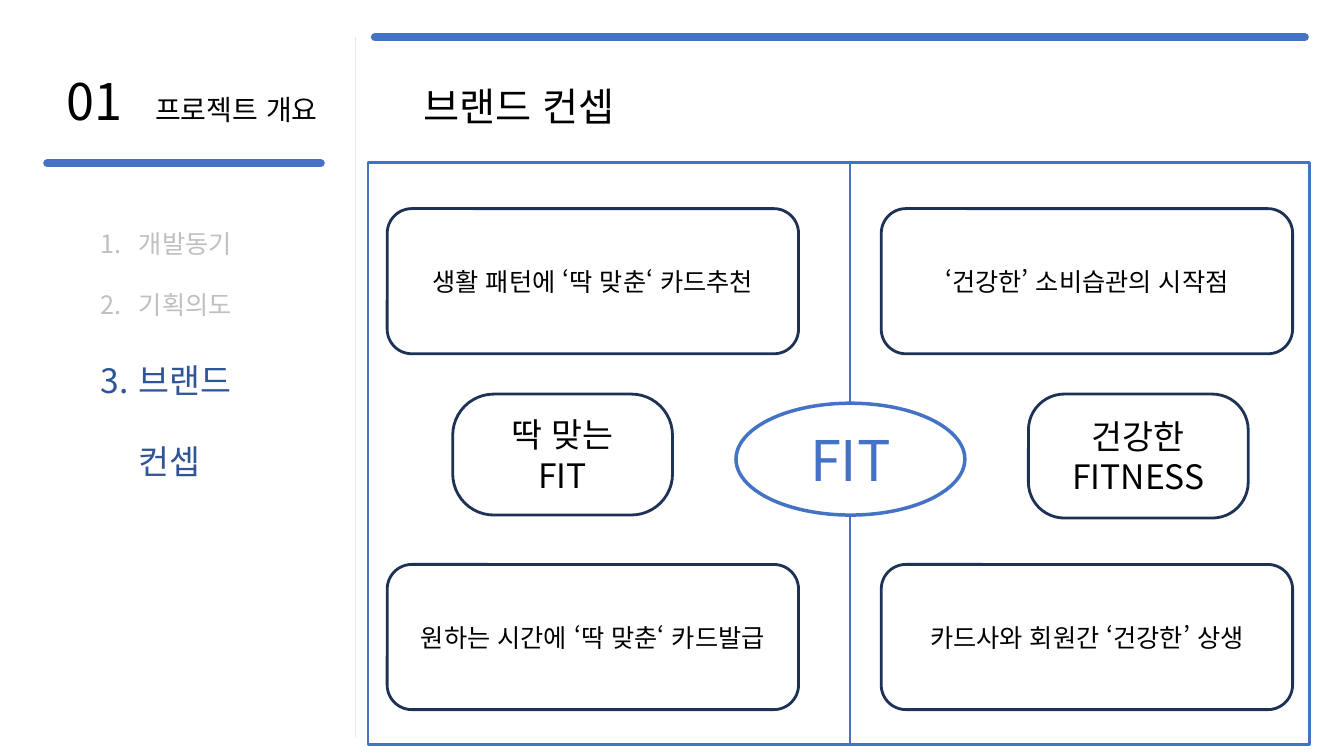
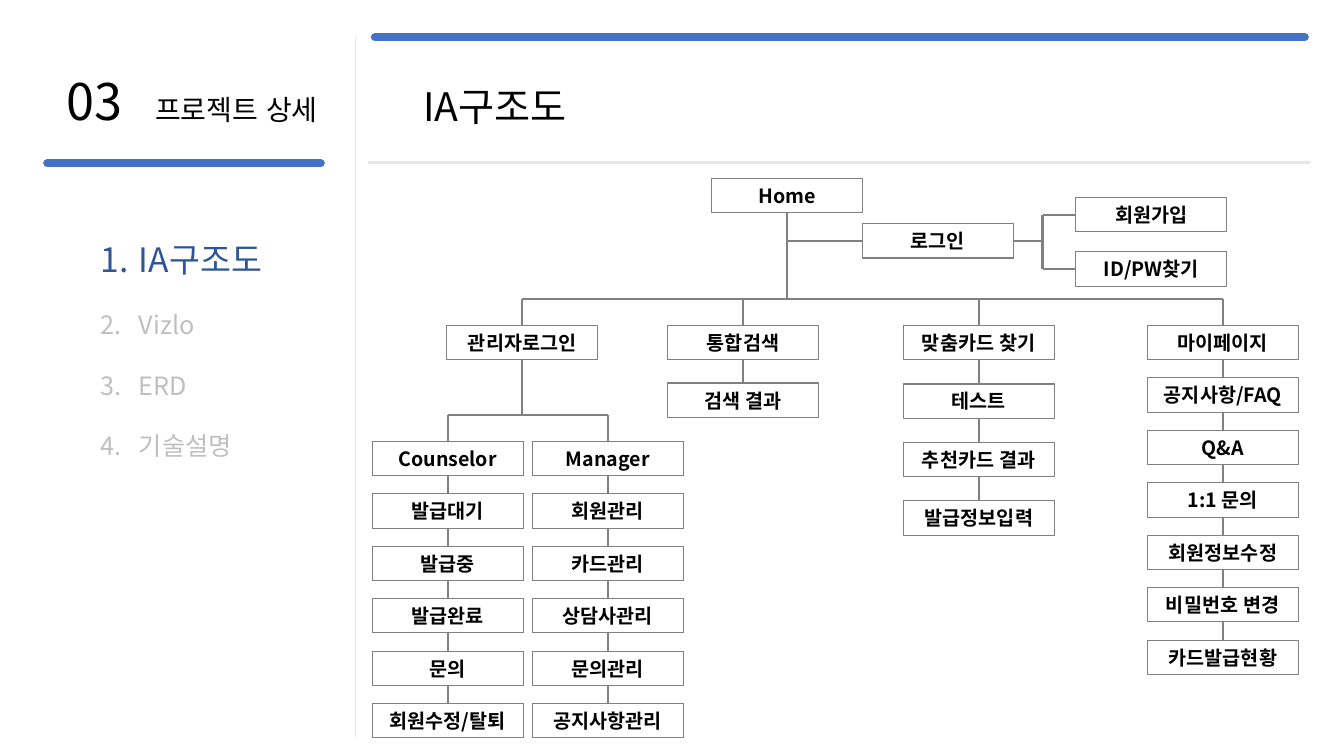
from dataclasses import dataclass

from lxml import etree
from pptx import Presentation
from pptx.dml.color import RGBColor
from pptx.enum.lang import MSO_LANGUAGE_ID
from pptx.enum.shapes import MSO_CONNECTOR, MSO_SHAPE
from pptx.enum.text import MSO_ANCHOR, PP_ALIGN
from pptx.oxml.ns import qn
from pptx.util import Inches, Pt

STRAIGHT = MSO_CONNECTOR.STRAIGHT
RECTANGLE, ROUNDED, OVAL = MSO_SHAPE.RECTANGLE, MSO_SHAPE.ROUNDED_RECTANGLE, MSO_SHAPE.OVAL
LEFT, CENTER = PP_ALIGN.LEFT, PP_ALIGN.CENTER
TOP, MIDDLE = MSO_ANCHOR.TOP, MSO_ANCHOR.MIDDLE
KOREAN = MSO_LANGUAGE_ID.KOREAN
TITLE_ONLY = 5
NODE_WIDTH, NODE_HEIGHT = 1.5, 0.34


@dataclass(frozen=True)
class Theme:
    font: str = "Noto Sans CJK KR"
    text: str = "000000"
    paper: str = "FFFFFF"
    accent: str = "4472C4"
    active: str = "2F5597"
    muted: str = "BFBFBF"
    rule: str = "E7E6E6"
    outline: str = "1E3256"
    tree: str = "808080"
    number_size: int = 36
    section_size: int = 20
    title_size: int = 28
    active_size: int = 24
    body_size: int = 18
    badge_size: int = 40
    node_size: int = 14


THEME = Theme()


def write_text(box, text, *, size, color=THEME.text, bold=False, align=LEFT, anchor=MIDDLE,
               spacing=1.2, numbered=False, tab=None, wrap=True, margin=0.1, append=False):
    """Write one paragraph; text is a string or a list of (text, size) spans."""
    frame = box.text_frame
    frame.word_wrap = wrap
    frame.vertical_anchor = anchor
    frame.margin_left = frame.margin_right = Inches(margin)
    frame.margin_top = frame.margin_bottom = Inches(margin / 2)
    para = frame.add_paragraph() if append else frame.paragraphs[0]
    para.alignment = align
    para.space_before = Pt(0)
    para.line_spacing = Pt(round(size * spacing, 1))
    properties = para._p.get_or_add_pPr()
    if numbered:
        properties.set("marL", str(Inches(0.38)))
        properties.set("indent", str(-Inches(0.38)))
        etree.SubElement(properties, qn("a:buAutoNum"), type="arabicPeriod")
    if tab:
        stops = etree.SubElement(properties, qn("a:tabLst"))
        etree.SubElement(stops, qn("a:tab"), pos=str(Inches(tab)), algn="l")
    for words, span_size in [(text, size)] if isinstance(text, str) else text:
        span = para.add_run()
        span.text = words
        span.font.name = THEME.font
        span.font.size = Pt(span_size)
        span.font.bold = bold
        span.font.language_id = KOREAN
        span.font.color.rgb = RGBColor.from_string(color)
        etree.SubElement(span._r.get_or_add_rPr(), qn("a:ea"), typeface=THEME.font)


class Deck:
    def __init__(self, theme):
        self.theme = theme
        self.file = Presentation()
        self.file.slide_width, self.file.slide_height = Inches(13.33), Inches(7.5)
        self.page = None

    def start_page(self, number, section, title, menu, active):
        """Add a page with its rules, section heading, menu and title."""
        theme = self.theme
        self.page = self.file.slides.add_slide(self.file.slide_layouts[TITLE_ONLY])
        # Rules
        self.line(0.47, 1.62, 3.18, 1.62, theme.accent, 6, rounded=True)
        self.line(3.72, 0.37, 12.94, 0.37, theme.accent, 6, rounded=True)
        self.line(3.52, 0.37, 3.52, 7.31, theme.rule, 0.5)
        self.line(3.65, 1.61, 12.99, 1.61, theme.rule, 2.25)
        # Title
        heading = self.page.shapes.title
        heading.left, heading.top = Inches(4.1), Inches(0.77)
        heading.width, heading.height = Inches(3.52), Inches(0.57)
        write_text(heading, title, size=theme.title_size)
        # Section heading
        spans = [(number, theme.number_size), ("\t" + section, theme.section_size)]
        write_text(self.text_box(0.56, 0.64, 2.79, 0.71), spans,
                   size=theme.number_size, tab=0.88, wrap=False)
        # Menu
        box = self.text_box(0.9, 1.92, 2.12, 2.65)
        for index, item in enumerate(menu):
            chosen = item == active
            write_text(box, item, numbered=True, anchor=TOP, spacing=2.4, append=index > 0,
                       size=theme.active_size if chosen else theme.body_size,
                       color=theme.active if chosen else theme.muted)

    def text_box(self, left, top, width, height):
        return self.page.shapes.add_textbox(
            Inches(left), Inches(top), Inches(width), Inches(height))

    def line(self, x1, y1, x2, y2, color, weight, rounded=False):
        line = self.page.shapes.add_connector(
            STRAIGHT, Inches(x1), Inches(y1), Inches(x2), Inches(y2))
        line.line.color.rgb = RGBColor.from_string(color)
        line.line.width = Pt(weight)
        if rounded:
            line.line._get_or_add_ln().set("cap", "rnd")
        etree.SubElement(line._element.spPr, qn("a:effectLst"))

    def shape(self, kind, left, top, width, height, color, weight, fill=None, corner=None):
        shape = self.page.shapes.add_shape(
            kind, Inches(left), Inches(top), Inches(width), Inches(height))
        shape.shadow.inherit = False
        if fill:
            shape.fill.solid()
            shape.fill.fore_color.rgb = RGBColor.from_string(fill)
        else:
            shape.fill.background()
        shape.line.color.rgb = RGBColor.from_string(color)
        shape.line.width = Pt(weight)
        if corner:
            shape.adjustments[0] = corner
        return shape

    def card(self, left, top, width, height, lines, size, corner=0.17):
        card = self.shape(ROUNDED, left, top, width, height, self.theme.outline, 2, corner=corner)
        for index, text in enumerate(lines):
            write_text(card, text, size=size, align=CENTER, append=index > 0)

    def tree_line(self, x1, y1, x2, y2):
        self.line(x1, y1, x2, y2, self.theme.tree, 1.5)

    def node(self, left, top, text):
        node = self.shape(RECTANGLE, left, top, NODE_WIDTH, NODE_HEIGHT, self.theme.tree, 0.75)
        write_text(node, text, size=self.theme.node_size, bold=True, align=CENTER,
                   wrap=False, margin=0)

    def column(self, left, top, step, labels, stem_top):
        """Stack nodes, each joined to the one above; the first hangs from stem_top."""
        middle = left + NODE_WIDTH / 2
        for index, label in enumerate(labels):
            node_top = top + index * step
            self.tree_line(middle, stem_top, middle, node_top)
            self.node(left, node_top, label)
            stem_top = node_top + NODE_HEIGHT


def build_concept(deck):
    theme = deck.theme
    deck.start_page("01", "프로젝트 개요", "브랜드 컨셉",
                    ["개발동기", "기획의도", "브랜드 컨셉"], "브랜드 컨셉")
    # Two halves
    for left, width in [(8.43, 4.56), (3.65, 4.78)]:
        deck.shape(RECTANGLE, left, 1.61, width, 5.78, theme.accent, 2, fill=theme.paper)
    # Centre badge
    badge = deck.shape(OVAL, 7.3, 4, 2.27, 1.11, theme.accent, 2.5, fill=theme.paper)
    write_text(badge, "FIT", size=theme.badge_size, color=theme.accent, align=CENTER)
    # Meanings
    deck.card(4.49, 3.91, 2.18, 1.2, ["딱 맞는", "FIT"], theme.active_size, corner=0.34)
    deck.card(10.2, 3.91, 2.18, 1.23, ["건강한", "FITNESS"], theme.active_size, corner=0.29)
    # Statements
    statements = [
        (3.84, ["생활 패턴에 ‘딱 맞춘‘ 카드추천", "원하는 시간에 ‘딱 맞춘‘ 카드발급"]),
        (8.74, ["‘건강한’ 소비습관의 시작점", "카드사와 회원간 ‘건강한’ 상생"]),
    ]
    for left, texts in statements:
        for top, text in zip((2.07, 5.6), texts):
            deck.card(left, top, 4.08, 1.44, [text], theme.body_size)


def build_structure(deck):
    deck.start_page("03", "프로젝트 상세", "IA구조도",
                    ["IA구조도", "Vizlo", "ERD", "기술설명"], "IA구조도")
    bus, branch, head = 2.97, 4.12, 3.23
    half = NODE_WIDTH / 2
    # Home and login
    deck.node(7.06, 1.77, "Home")
    deck.tree_line(7.81, 2.11, 7.81, bus)
    deck.tree_line(7.81, 2.39, 8.55, 2.39)
    deck.node(8.55, 2.22, "로그인")
    deck.tree_line(10.05, 2.39, 10.34, 2.39)
    deck.tree_line(10.34, 2.13, 10.34, 2.67)
    for top, label in [(1.96, "회원가입"), (2.5, "ID/PW찾기")]:
        middle = top + NODE_HEIGHT / 2
        deck.tree_line(10.34, middle, 10.67, middle)
        deck.node(10.67, top, label)
    # Main menus
    menus = [
        (4.43, 0, ["관리자로그인"]),
        (6.62, 0.57, ["통합검색", "검색 결과"]),
        (8.96, 0.58, ["맞춤카드 찾기", "테스트", "추천카드 결과", "발급정보입력"]),
        (11.38, 0.52, ["마이페이지", "공지사항/FAQ", "Q&A", "1:1 문의",
                       "회원정보수정", "비밀번호 변경", "카드발급현황"]),
    ]
    deck.tree_line(menus[0][0] + half, bus, menus[-1][0] + half, bus)
    for left, step, labels in menus:
        deck.column(left, head, step, labels, bus)
    # Administrator roles
    roles = [
        (3.69, ["Counselor", "발급대기", "발급중", "발급완료", "문의", "회원수정/탈퇴"]),
        (5.28, ["Manager", "회원관리", "카드관리", "상담사관리", "문의관리", "공지사항관리"]),
    ]
    admin = menus[0][0] + half
    deck.tree_line(admin, head + NODE_HEIGHT, admin, branch)
    deck.tree_line(roles[0][0] + half, branch, roles[1][0] + half, branch)
    for left, labels in roles:
        deck.column(left, 4.38, 0.52, labels, branch)


def main():
    deck = Deck(THEME)
    build_concept(deck)
    build_structure(deck)
    deck.file.save("out.pptx")


if __name__ == "__main__":
    main()
